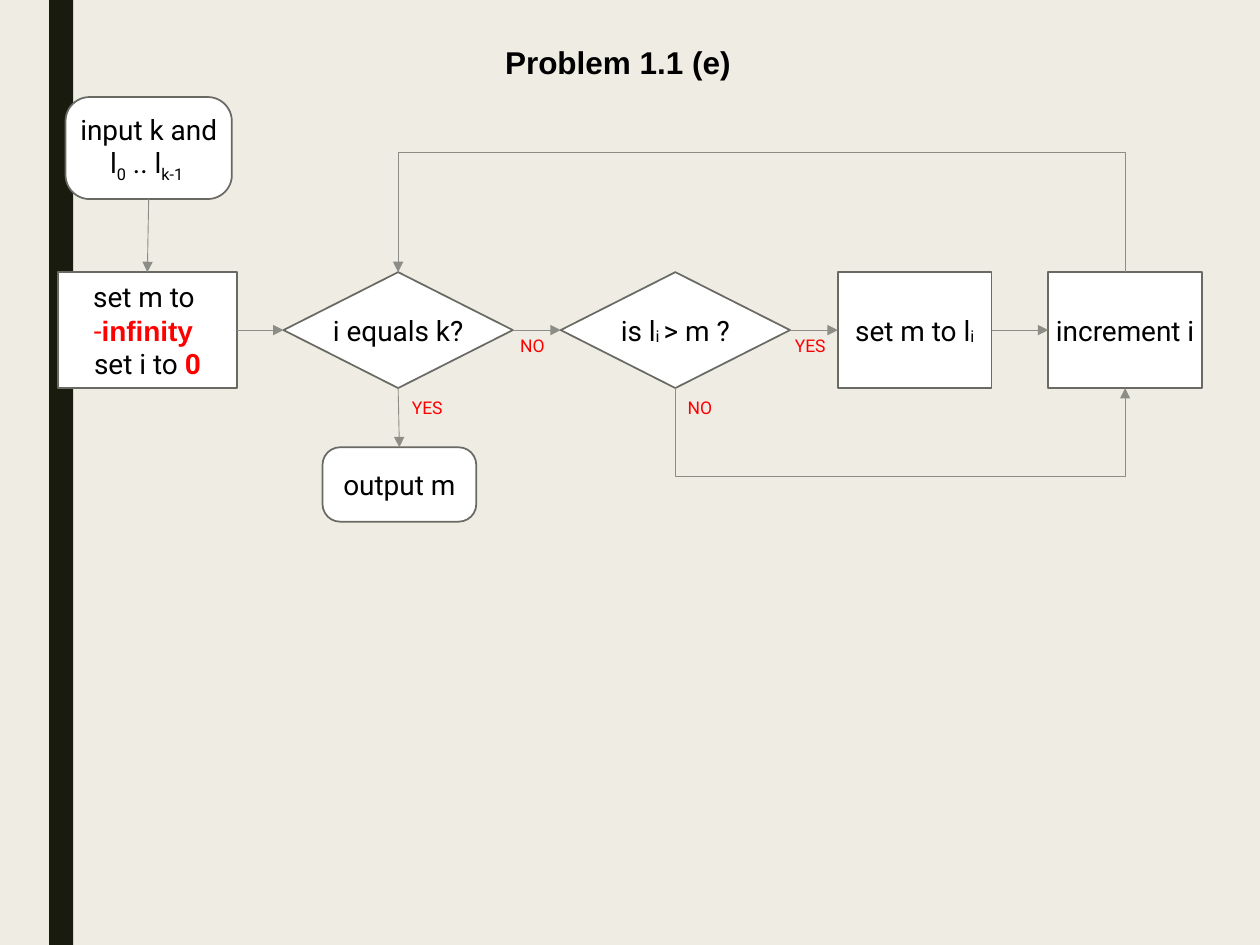
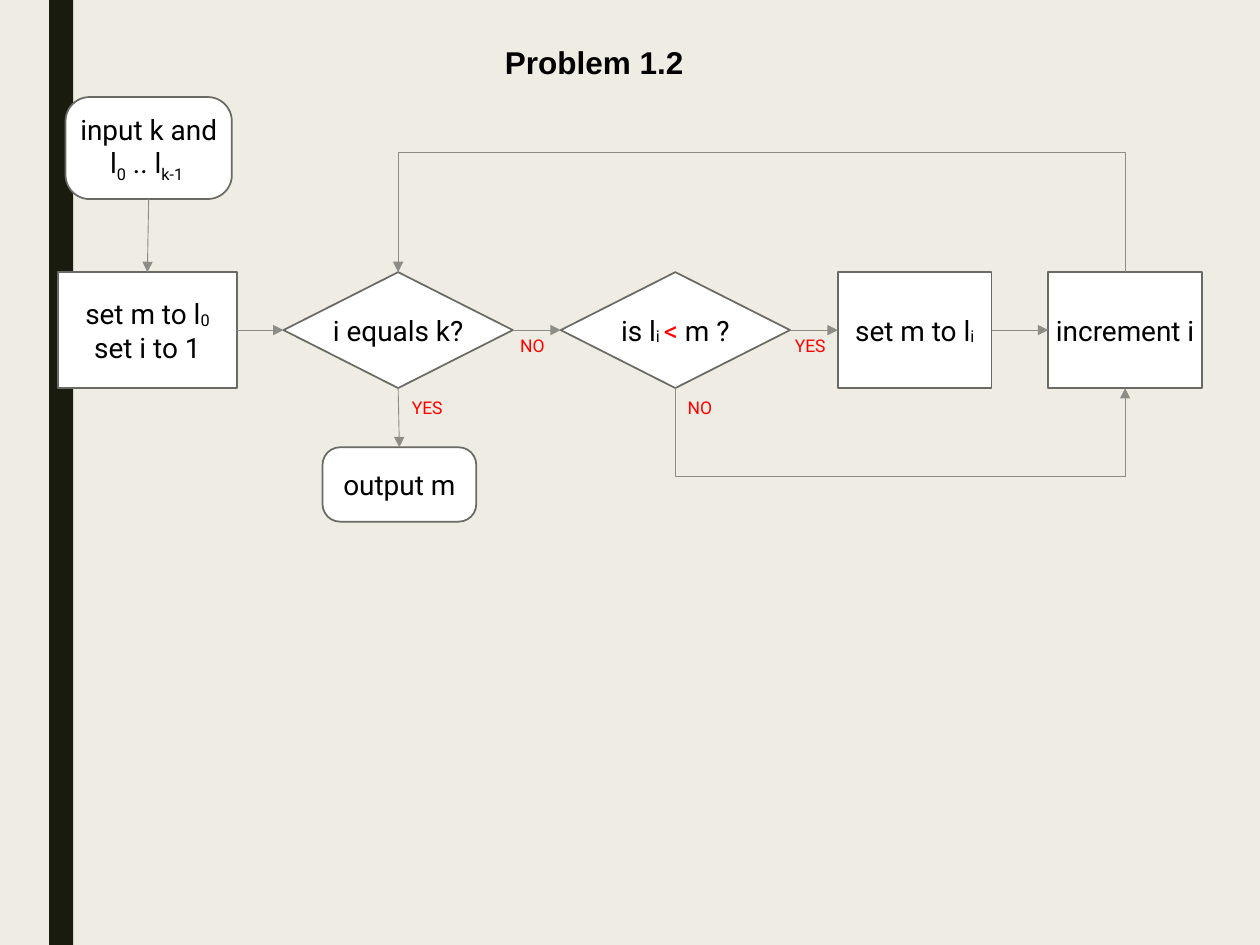
from lxml import etree
from pptx import Presentation
from pptx.dml.color import RGBColor
from pptx.enum.shapes import MSO_CONNECTOR, MSO_SHAPE
from pptx.enum.text import MSO_ANCHOR, PP_ALIGN
from pptx.oxml.ns import qn
from pptx.util import Inches, Pt

RECT, ROUND = MSO_SHAPE.RECTANGLE, MSO_SHAPE.ROUNDED_RECTANGLE
DIAMOND = MSO_SHAPE.DIAMOND
STRAIGHT = MSO_CONNECTOR.STRAIGHT
MIDDLE, CENTER = MSO_ANCHOR.MIDDLE, PP_ALIGN.CENTER
TOP, LEFT, BOTTOM, RIGHT = range(4)

CREAM = RGBColor(0xEF, 0xED, 0xE3)
DARK = RGBColor(0x19, 0x1B, 0x0E)
WHITE = RGBColor(0xFF, 0xFF, 0xFF)
BLACK = RGBColor(0, 0, 0)
RED = RGBColor(0xFF, 0, 0)
EDGE = RGBColor(0x69, 0x6A, 0x64)
GREY = RGBColor(0x8C, 0x8D, 0x86)

BODY, HEAD = "Roboto", "Arial"
INSET = Inches(0.03)
ROW_Y, ROW_H = 1.39, 0.92  # main row, measured from the top of the chart
SUB, LOW = -6, -25  # baseline shifts in percent


def run(text, color=BLACK, bold=False, base=0, font=BODY):
    return text, color, bold, base, font


def write(shape, paras, size=16, wrap=True):
    """Fill a shape with centred paragraphs, each a list of runs."""
    frame = shape.text_frame
    frame.word_wrap = wrap
    frame.vertical_anchor = MIDDLE
    frame.margin_left = frame.margin_right = INSET
    frame.margin_top = frame.margin_bottom = INSET
    for i, runs in enumerate(paras):
        para = frame.add_paragraph() if i else frame.paragraphs[0]
        para.alignment = CENTER
        for text, color, bold, base, name in runs:
            part = para.add_run()
            part.text = text
            font = part.font
            font.size, font.name, font.bold = Pt(size), name, bold
            font.color.rgb = color
            if base:
                part._r.get_or_add_rPr().set("baseline", str(base * 1000))


def add_node(slide, kind, box, paras):
    node = slide.shapes.add_shape(kind, *map(Inches, box))
    node.shadow.inherit = False
    node.fill.solid()
    node.fill.fore_color.rgb = WHITE
    node.line.color.rgb = EDGE
    node.line.width = Pt(1)
    if kind == ROUND:
        node.adjustments[0] = 0.236
    write(node, paras, wrap=kind != DIAMOND)
    return node


def add_label(slide, text, x, y, w):
    label = slide.shapes.add_textbox(*map(Inches, (x, y, w, 0.23)))
    write(label, [[run(text, RED)]], 10, wrap=False)


def style_arrow(line):
    line.color.rgb = GREY
    line.width = Pt(0.5)
    etree.SubElement(line._get_or_add_ln(), qn("a:tailEnd"), type="triangle")


def link(slide, start, side, end, stop):
    """Straight arrow from one side of a node to a side of another."""
    arrow = slide.shapes.add_connector(STRAIGHT, 0, 0, 0, 0)
    arrow.begin_connect(start, side)
    arrow.end_connect(end, stop)
    style_arrow(arrow.line)
    etree.SubElement(arrow._element.spPr, qn("a:effectLst"))


def add_loop(slide, start, end, edge, turn):
    """Three-part arrow that leaves and returns at the same height."""
    x1, x2 = (node.left + node.width // 2 for node in (start, end))
    pen = slide.shapes.build_freeform(x1, edge)
    pen.add_line_segments([(x1, turn), (x2, turn), (x2, edge)], close=False)
    loop = pen.convert_to_shape()
    loop.shadow.inherit = False
    loop.fill.background()
    style_arrow(loop.line)


def add_flow(slide, x, y, setup, test):
    """Flowchart with its top left corner at x, y."""
    def row(kind, dx, w, paras):
        return add_node(slide, kind, (x + dx, y + ROW_Y, w, ROW_H), paras)

    # Nodes
    begin = row(RECT, 0, 1.42, setup)
    done = row(DIAMOND, 1.79, 1.82, [[run("i equals k?")]])
    check = row(DIAMOND, 3.99, 1.82, [test])
    store = row(RECT, 6.19, 1.22, [[run("set m to l"), run("i", base=SUB)]])
    step = row(RECT, 7.86, 1.22, [[run("increment i")]])
    out = add_node(slide, ROUND, (x + 2.1, y + 2.78, 1.22, 0.59),
                   [[run("output m")]])
    source = add_node(slide, ROUND, (x + 0.06, y, 1.32, 0.81), [[
        run("input k and l"), run("0", base=LOW),
        run(" .. l"), run("k-1 ", base=LOW)]])

    # Branch labels
    for text, dx, dy, w in (("YES", 2.76, 2.35, 0.34), ("NO", 4.96, 2.35, 0.27),
                            ("NO", 3.63, 1.86, 0.27), ("YES", 5.8, 1.86, 0.34)):
        add_label(slide, text, x + dx, y + dy, w)

    # Arrows
    link(slide, source, BOTTOM, begin, TOP)
    link(slide, done, BOTTOM, out, TOP)
    chain = (begin, done, check, store, step)
    for left, right in zip(chain, chain[1:]):
        link(slide, left, RIGHT, right, LEFT)
    add_loop(slide, check, step, check.top + check.height, Inches(y + 3.01))
    add_loop(slide, step, done, step.top, Inches(y + 0.44))


def add_title(slide, text, w):
    box = slide.shapes.add_textbox(*map(Inches, (3.91, 0.29, w, 0.4)))
    frame = box.text_frame
    frame.word_wrap = False
    frame.text = text
    font = frame.paragraphs[0].runs[0].font
    font.size, font.name, font.bold = Pt(18), HEAD, True
    font.color.rgb = BLACK


def add_slide(deck, title, width, setup, test):
    slide = deck.slides.add_slide(deck.slide_layouts[6])
    slide.background.fill.solid()
    slide.background.fill.fore_color.rgb = CREAM
    # Side band
    band = slide.shapes.add_shape(RECT, Inches(0.39), 0, Inches(0.19),
                                  deck.slide_height)
    band.shadow.inherit = False
    band.fill.solid()
    band.fill.fore_color.rgb = DARK
    band.line.fill.background()
    add_flow(slide, 0.46, 0.77, setup, test)
    add_title(slide, title, width)


def main():
    deck = Presentation()
    deck.slide_width, deck.slide_height = Inches(10), Inches(7.5)
    ask = [run("is l"), run("i ", base=SUB)]
    add_slide(deck, "Problem 1.1 (e)", 2.01,
              [[run("set m to ")],
               [run("-", RED), run("infinity ", RED, True, font=HEAD)],
               [run("set i to "), run("0", RED, True)]],
              ask + [run("> m ?")])
    add_slide(deck, "Problem 1.2", 1.63,
              [[run("set m to l"), run("0", base=SUB)], [run("set i to 1")]],
              ask + [run("<", RED), run(" m ?")])
    deck.save("out.pptx")


if __name__ == "__main__":
    main()
